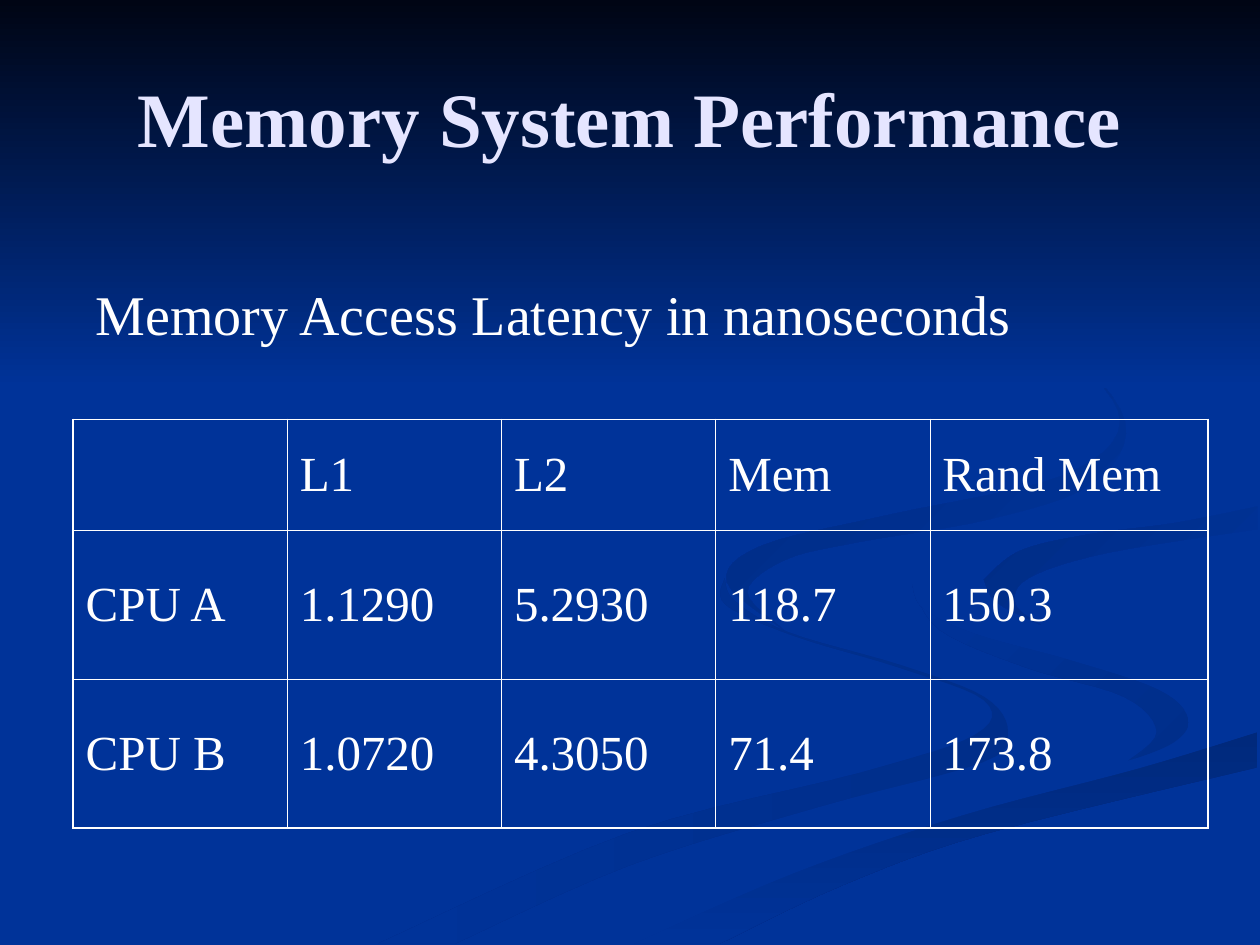
import pptx
import pptx.dml.color
import pptx.enum.shapes
import pptx.enum.text
import pptx.oxml
import pptx.oxml.ns
import pptx.util
from pptx.util import Inches

COLORS = {
    "background": "003399",
    "night": "000514",
    "swirl": "002E8A",
    "stroke": "00297C",
    "wave": "002C85",
    "curl": "002B81",
    "title": "E5E5FF",
    "text": "FFFFFF",
    "border": "FFFFFF",
}
MIDDLE = pptx.enum.text.MSO_ANCHOR.MIDDLE
CENTER = pptx.enum.text.PP_ALIGN.CENTER

# Edges shared by neighbouring ribbons, in inches
BEND = [(7.24, 4.64), (7.33, 4.83), (7.74, 5.03), (8.5, 5.24), (9.19, 5.47), (9.43, 5.7)]
SWEEP = [(9.98, 5.81), (9.03, 6.1), (7.64, 6.47), (6.3, 6.93), (5.03, 7.49)]
CREST = [(7.81, 4.6), (8.1, 4.37), (8.65, 4.24), (9.33, 4.15), (9.98, 4.02)]

# Ribbons from back to front: start colour, end colour, angle, smooth edges
RIBBONS = [
    ("swirl", "background", 180, [
        [(5.75, 4.59), (5.76, 4.8), (6.31, 5.05), (7.14, 5.3), (7.81, 5.56),
         (7.74, 5.83), (6.84, 6.13), (4.99, 6.61), (3, 7.49)],
        [(3.61, 7.49), (4.99, 6.87), (6.51, 6.4), (7.8, 6.05), (8, 5.81),
         (7.81, 5.53), (7.15, 5.28), (6.26, 5.02), (5.83, 4.77), (5.75, 4.59)]]),
    ("swirl", "background", 225, [
        BEND + [(9.32, 5.89), (8.94, 6.05)],
        [(8.94, 6.05), (9.18, 5.81), (8.92, 5.53), (8.15, 5.3), (7.46, 5), (7.24, 4.64)]]),
    ("stroke", "background", 90, [
        SWEEP, [(5.71, 7.49), (6.7, 7.02), (7.85, 6.61), (9.98, 6.09)]]),
    ("background", "background", 90, [
        BEND + [(9.26, 5.93), (8.43, 6.18), (7.04, 6.55), (5.73, 7.03), (4.77, 7.49)],
        SWEEP[::-1],
        [(9.98, 5.38), (9.04, 5.19), (8.17, 4.92), (7.81, 4.6)],
        CREST,
        [(9.98, 3.87), (9.2, 4.01), (8.08, 4.17), (7.42, 4.39), (7.24, 4.64)]]),
    ("background", "wave", 225, [
        CREST,
        [(9.98, 4.2), (8.78, 4.39), (8.16, 4.59), (8.06, 4.8), (8.26, 4.96)],
        [(8.26, 4.96), (7.91, 4.78), (7.81, 4.6)]]),
    ("background", "curl", 225, [
        [(7.62, 2.33), (8.46, 2.79), (8.89, 3.35), (8.42, 3.78), (7.04, 4.09),
         (6.05, 4.33), (5.77, 4.62), (6.22, 5)],
        [(6.22, 5), (5.93, 4.7), (6.24, 4.44), (6.83, 4.3), (7.86, 4.12),
         (8.67, 3.84), (8.93, 3.35), (8.43, 2.75), (7.62, 2.33)]]),
]

LATENCIES = [
    ["", "L1", "L2", "Mem", "Rand Mem"],
    ["CPU A", "1.1290", "5.2930", "118.7", "150.3"],
    ["CPU B", "1.0720", "4.3050", "71.4", "173.8"],
]


def rgb(name):
    return pptx.dml.color.RGBColor.from_string(COLORS[name])


def smooth(edge, steps=6):
    """Points of a Catmull-Rom curve through the points of an edge."""
    padded = [edge[0], *edge, edge[-1]]
    curve = []
    for knots in zip(padded, padded[1:], padded[2:], padded[3:]):
        for step in range(steps):
            t = step / steps
            curve.append(tuple(
                b + t * (c - a + t * (2 * a - 5 * b + 4 * c - d
                                      + t * (3 * b - a - 3 * c + d))) / 2
                for a, b, c, d in zip(*knots)))
    return curve + [edge[-1]]


def write(frame, text, *, size, font, color="text", bold=False, align=None):
    paragraph = frame.paragraphs[0]
    paragraph.alignment = align
    paragraph.font.size = pptx.util.Pt(size)
    if text:
        run = paragraph.add_run()
        run.text = text
        run.font.name, run.font.size, run.font.bold = font, pptx.util.Pt(size), bold
        run.font.color.rgb = rgb(color)


class Deck:
    font = "Times New Roman"
    inner_border, outer_border = 0.45, 1.08

    def __init__(self, presentation):
        self.slide = presentation.slides.add_slide(presentation.slide_layouts[6])
        fill = self.slide.background.fill
        fill.solid()
        fill.fore_color.rgb = rgb("background")

    def shade(self, shape, start, end, angle):
        shape.shadow.inherit = False
        shape.line.fill.background()
        if start == end:
            shape.fill.solid()
            shape.fill.fore_color.rgb = rgb(start)
            return
        shape.fill.gradient()
        shape.fill.gradient_angle = 360 - angle
        for stop, color in zip(shape.fill.gradient_stops, (start, end)):
            stop.color.rgb = rgb(color)

    def ribbon(self, start, end, angle, edges):
        outline = [(Inches(x), Inches(y)) for edge in edges for x, y in smooth(edge)]
        builder = self.slide.shapes.build_freeform(*outline[0])
        builder.add_line_segments(outline[1:], close=True)
        self.shade(builder.convert_to_shape(), start, end, angle)

    def band(self, start, end, angle, width, height):
        band = self.slide.shapes.add_shape(
            pptx.enum.shapes.MSO_SHAPE.RECTANGLE, 0, 0, Inches(width), Inches(height))
        self.shade(band, start, end, angle)

    def text(self, text, left, top, width, height, anchor=None, **style):
        frame = self.slide.shapes.add_textbox(
            Inches(left), Inches(top), Inches(width), Inches(height)).text_frame
        frame.word_wrap = True
        frame.vertical_anchor = anchor
        write(frame, text, font=self.font, **style)

    def table(self, rows, left, top, widths, heights, size):
        table = self.slide.shapes.add_table(
            len(rows), len(widths), Inches(left), Inches(top),
            Inches(sum(widths)), Inches(sum(heights))).table
        table.first_row = table.horz_banding = False
        for column, width in zip(table.columns, widths):
            column.width = Inches(width)
        for r, values in enumerate(rows):
            table.rows[r].height = Inches(heights[r])
            for c, value in enumerate(values):
                cell = table.cell(r, c)
                cell.fill.background()
                cell.vertical_anchor = MIDDLE
                write(cell.text_frame, value, size=size, font=self.font)
                self.borders(cell, L=c == 0, R=c == len(widths) - 1,
                             T=r == 0, B=r == len(rows) - 1)

    def borders(self, cell, **outer_sides):
        properties = cell._tc.get_or_add_tcPr()
        for position, (side, outer) in enumerate(outer_sides.items()):
            width = pptx.util.Pt(self.outer_border if outer else self.inner_border)
            properties.insert(position, pptx.oxml.parse_xml(
                f'<a:ln{side} {pptx.oxml.ns.nsdecls("a")} w="{width}"><a:solidFill>'
                f'<a:srgbClr val="{COLORS["border"]}"/></a:solidFill></a:ln{side}>'))


def main():
    presentation = pptx.Presentation()
    presentation.slide_width, presentation.slide_height = Inches(10), Inches(7.5)
    deck = Deck(presentation)

    # Background ribbons and the dark sky across the top
    for ribbon in RIBBONS:
        deck.ribbon(*ribbon)
    deck.band("night", "background", 90, 10, 3.08)

    # Title, latency table and its caption
    deck.text("Memory System Performance", 0.5, 0.3, 9, 1.25, anchor=MIDDLE,
              size=44, color="title", bold=True, align=CENTER)
    deck.table(LATENCIES, 0.58, 3.33, [1.7] * 4 + [2.21], [0.88, 1.18, 1.18], size=28)
    deck.text("Memory Access Latency in nanoseconds", 0.66, 2.17, 8.71, 0.64, size=32)

    presentation.save("out.pptx")


if __name__ == "__main__":
    main()
